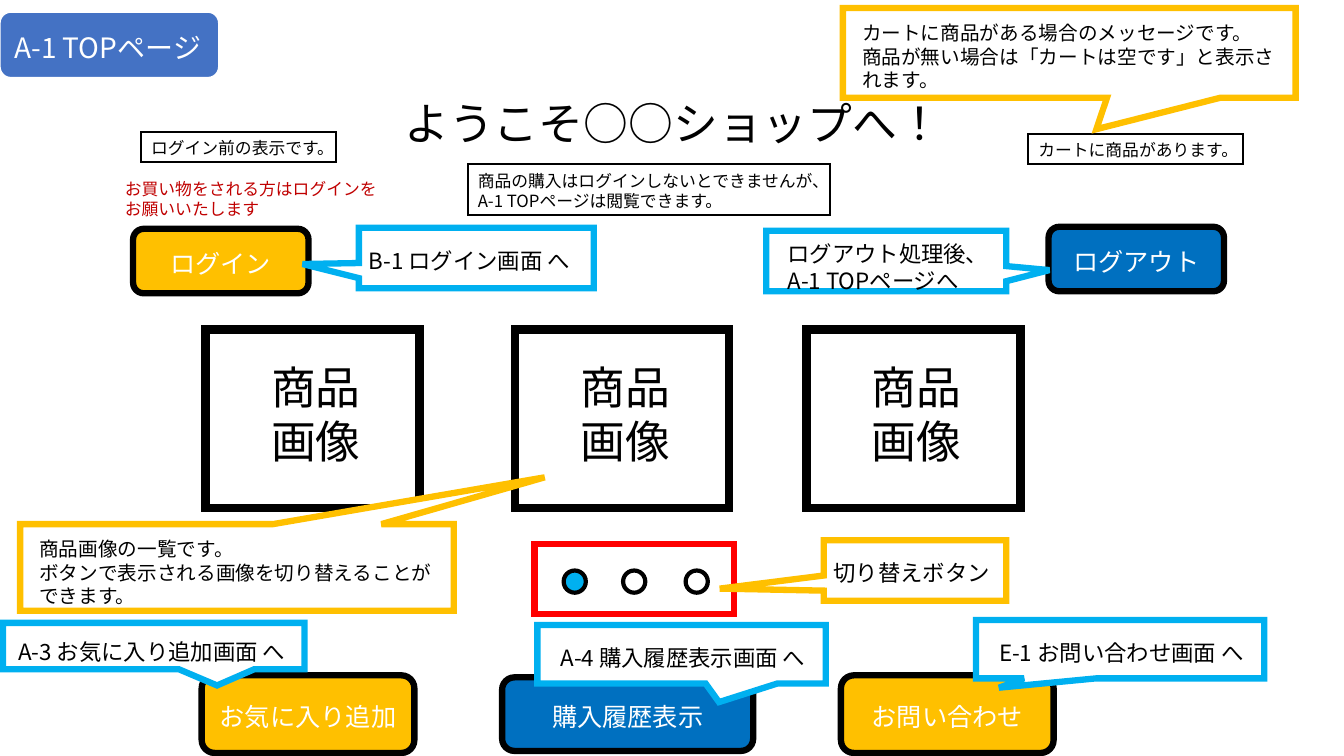
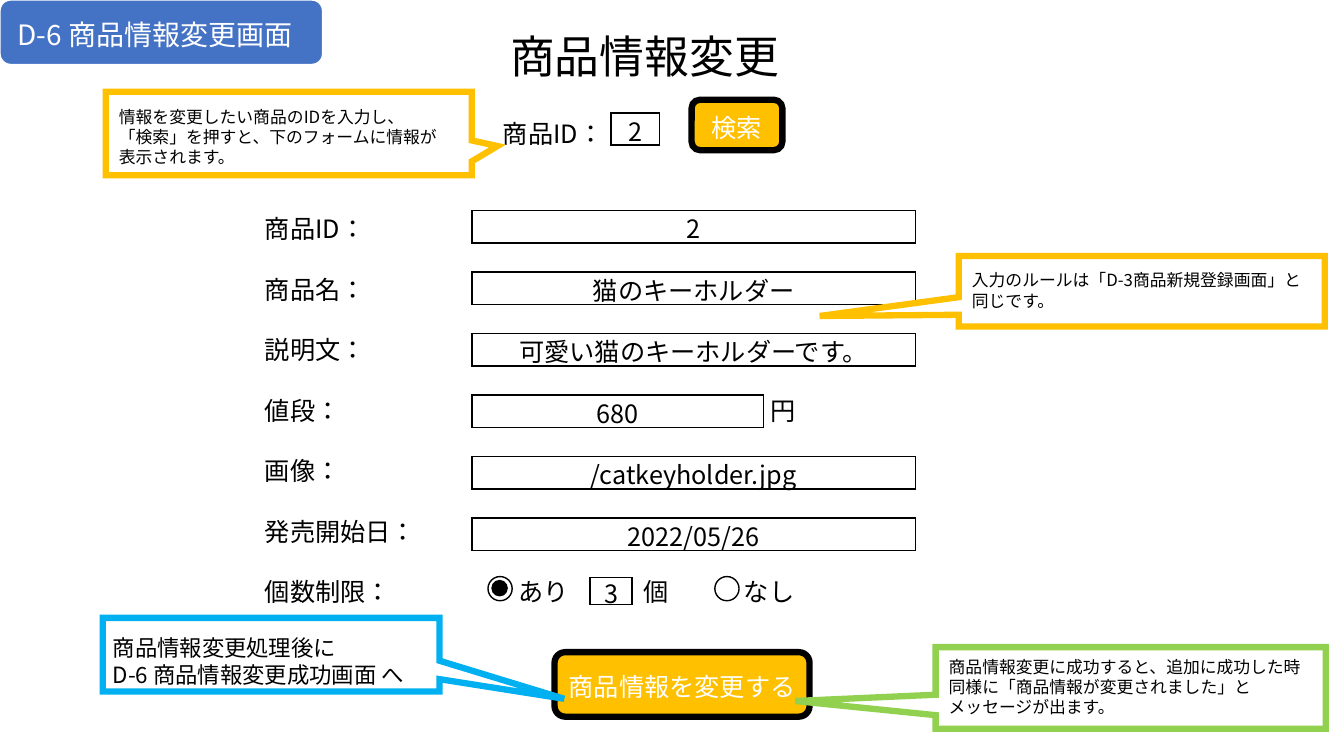
"""Build two wireframe slides of a shop site: the top page and the product editing page."""
from dataclasses import dataclass

import pptx
import pptx.dml.color
import pptx.enum.lang
import pptx.enum.shapes
import pptx.enum.text
import pptx.oxml.ns
import pptx.shapes.autoshape
import pptx.shapes.base
import pptx.slide
import pptx.util
from lxml import etree

RGBColor = pptx.dml.color.RGBColor
Shape = pptx.enum.shapes.MSO_SHAPE
Align = pptx.enum.text.PP_ALIGN
Anchor = pptx.enum.text.MSO_ANCHOR
qn = pptx.oxml.ns.qn

EMU_PER_PX = 9144
FONT = "Noto Sans CJK JP"
LINE_HEIGHT = 1.2
BLACK = RGBColor(0x00, 0x00, 0x00)
WHITE = RGBColor(0xFF, 0xFF, 0xFF)
BADGE_BLUE = RGBColor(0x44, 0x72, 0xC4)
GOLD = RGBColor(0xFF, 0xC0, 0x00)
BLUE = RGBColor(0x00, 0x70, 0xC0)
SKY = RGBColor(0x00, 0xB0, 0xF0)
GREEN = RGBColor(0x92, 0xD0, 0x50)
RED = RGBColor(0xFF, 0x00, 0x00)
DARK_RED = RGBColor(0xC0, 0x00, 0x00)


@dataclass(frozen=True)
class Area:
    left: int
    top: int
    width: int
    height: int

    def emu(self) -> tuple[int, int, int, int]:
        return px(self.left), px(self.top), px(self.width), px(self.height)


@dataclass(frozen=True)
class Button:
    text: str
    area: Area
    fill: RGBColor = GOLD


@dataclass(frozen=True)
class Callout:
    text: str
    area: Area
    tip: tuple[float, float]
    color: RGBColor
    size: int
    inset: tuple[int, int]


@dataclass(frozen=True)
class Field:
    label: str
    value: str = ""
    width: int = 440


TOP_BUTTONS = [
    Button("ログイン", Area(132, 227, 174, 64)),
    Button("ログアウト", Area(1040, 225, 174, 64), BLUE),
    Button("お気に入り追加", Area(200, 670, 211, 77)),
    Button("購入履歴表示", Area(498, 672, 249, 73), BLUE),
    Button("お問い合わせ", Area(834, 670, 211, 77)),
]
TOP_CALLOUTS = [
    Callout("商品画像の一覧です。\nボタンで表示される画像を切り替えることができます。",
            Area(20, 520, 430, 86), (0.71, -1.04), GOLD, 14, (19, 12)),
    Callout("切り替えボタン", Area(817, 536, 181, 60), (-1.07, 0.3), GOLD, 16, (10, 17)),
    Callout("B-1 ログイン画面 へ", Area(356, 226, 233, 60), (-0.74, 0.1), SKY, 16, (10, 17)),
    Callout("ログアウト処理後、\nA-1 TOPページへ",
            Area(760, 229, 238, 60), (0.68, 0.15), SKY, 16, (21, 7)),
    Callout("A-3 お気に入り追加画面 へ",
            Area(3, 618, 299, 46), (0.21, 0.85), SKY, 16, (15, 13)),
    Callout("A-4 購入履歴表示画面 へ",
            Area(533, 620, 286, 58), (0.13, 0.82), SKY, 16, (23, 17)),
    Callout("カートに商品がある場合のメッセージです。\n"
            "商品が無い場合は「カートは空です」と表示されます。",
            Area(836, 8, 449, 89), (0.06, 0.85), GOLD, 14, (19, 12)),
    Callout("E-1 お問い合わせ画面 へ",
            Area(968, 615, 286, 58), (-0.42, 0.66), SKY, 16, (23, 17)),
]
MESSAGES = [
    ("商品の購入はログインしないとできませんが、\nA-1 TOPページは閲覧できます。",
     Area(464, 163, 359, 50)),
    ("ログイン前の表示です。", Area(140, 131, 193, 30)),
    ("カートに商品があります。", Area(1020, 133, 213, 30)),
]
FIELDS = [
    Field("商品ID：", "2"),
    Field("商品名：", "猫のキーホルダー"),
    Field("説明文：", "可愛い猫のキーホルダーです。"),
    Field("値段：", "680", 289),
    Field("画像：", "/catkeyholder.jpg"),
    Field("発売開始日：", "2022/05/26"),
    Field("個数制限："),
]
UNITS = [("円", 754, 3), ("あり", 504, 6), ("個", 628, 6), ("なし", 728, 6)]
EDIT_BUTTONS = [
    Button("商品情報を変更する", Area(550, 647, 253, 64)),
    Button("検索", Area(686, 99, 90, 50)),
]
EDIT_CALLOUTS = [
    Callout("商品情報変更処理後に\nD-6 商品情報変更成功画面 へ",
            Area(102, 613, 334, 73), (0.87, 0.6), SKY, 16, (10, 14)),
    Callout("入力のルールは「D-3商品新規登録画面」と\n同じです。",
            Area(951, 254, 363, 70), (-0.88, 0.35), GOLD, 12, (13, 13)),
    Callout("商品情報変更に成功すると、追加に成功した時同様に「商品情報が変更されました」と\n"
            "メッセージが出ます。",
            Area(928, 642, 387, 81), (-0.86, 0.16), GREEN, 12, (13, 8)),
    Callout("情報を変更したい商品のIDを入力し、\n"
            "「検索」を押すと、下のフォームに情報が\n表示されます。",
            Area(105, 91, 363, 83), (0.57, 0.15), GOLD, 12, (13, 14)),
]


def px(length: int) -> int:
    return pptx.util.Emu(length * EMU_PER_PX)


def write(box: pptx.shapes.base.BaseShape, text: str, *, size: int, color: RGBColor = BLACK,
          align: Align = Align.LEFT, middle: bool = False,
          inset: tuple[int, int] = (10, 5), gap: float = 0) -> None:
    frame = box.text_frame
    frame.word_wrap = True
    frame.auto_size = pptx.enum.text.MSO_AUTO_SIZE.NONE
    frame.vertical_anchor = Anchor.MIDDLE if middle else Anchor.TOP
    frame.margin_left = px(inset[0])
    frame.margin_right = px(0 if middle else 10)
    frame.margin_top = px(4 if middle else inset[1] + size // 8)
    frame.margin_bottom = 0
    if align == Align.CENTER:
        frame.margin_left = frame.margin_right = 0
    for index, line in enumerate(text.split("\n")):
        para = frame.add_paragraph() if index else frame.paragraphs[0]
        para.alignment = align
        para.line_spacing = pptx.util.Pt(size * LINE_HEIGHT)
        para.space_before = pptx.util.Pt(gap if index else 0)
        span = para.add_run()
        span.text = line
        span.font.size = pptx.util.Pt(size)
        span.font.color.rgb = color
        span.font.language_id = pptx.enum.lang.MSO_LANGUAGE_ID.JAPANESE
        span.font.name = FONT
        etree.SubElement(span._r.get_or_add_rPr(), qn("a:ea"), typeface=FONT)


def add_box(page: pptx.slide.Slide, kind: Shape, area: Area, *, fill: RGBColor | None = WHITE,
            line: RGBColor = BLACK, weight: float = 1) -> pptx.shapes.autoshape.Shape:
    box = page.shapes.add_shape(kind, *area.emu())
    box.shadow.inherit = False
    if fill is None:
        box.fill.background()
    else:
        box.fill.solid()
        box.fill.fore_color.rgb = fill
    box.line.color.rgb = line
    box.line.width = pptx.util.Pt(weight)
    etree.SubElement(box.line._get_or_add_ln(), qn("a:miter"), lim="800000")
    return box


def add_label(page: pptx.slide.Slide, text: str, area: Area, *, size: int,
              color: RGBColor = BLACK, gap: float = 0) -> None:
    write(page.shapes.add_textbox(*area.emu()), text, size=size, color=color, gap=gap)


def add_page(deck: pptx.presentation.Presentation, title: str, title_area: Area,
             badge: str, badge_area: Area, badge_inset: int) -> pptx.slide.Slide:
    page = deck.slides.add_slide(deck.slide_layouts[5])
    heading = page.shapes.title
    heading.left, heading.top, heading.width, heading.height = title_area.emu()
    write(heading, title, size=32)
    box = add_box(page, Shape.ROUNDED_RECTANGLE, badge_area, fill=BADGE_BLUE, line=WHITE)
    write(box, badge, size=20, color=WHITE, middle=True, inset=(badge_inset, 0))
    return page


def add_button(page: pptx.slide.Slide, button: Button) -> None:
    box = add_box(page, Shape.FLOWCHART_ALTERNATE_PROCESS, button.area,
                  fill=button.fill, weight=4.5)
    write(box, button.text, size=18, color=WHITE, align=Align.CENTER, middle=True)


def add_callout(page: pptx.slide.Slide, callout: Callout) -> None:
    box = add_box(page, Shape.RECTANGULAR_CALLOUT, callout.area,
                  line=callout.color, weight=4.5)
    box.adjustments[0], box.adjustments[1] = callout.tip
    write(box, callout.text, size=callout.size, inset=callout.inset)


def add_input(page: pptx.slide.Slide, value: str, area: Area) -> None:
    box = add_box(page, Shape.RECTANGLE, area)
    write(box, value, size=18, align=Align.CENTER, middle=True)


def add_controls(page: pptx.slide.Slide, buttons: list[Button], callouts: list[Callout]) -> None:
    for button in buttons:
        add_button(page, button)
    for callout in callouts:
        add_callout(page, callout)


def build_top_page(deck: pptx.presentation.Presentation) -> None:
    page = add_page(deck, "ようこそ○○ショップへ！", Area(391, 86, 587, 64),
                    "A-1 TOPページ", Area(0, 12, 217, 65), 11)
    for left in (204, 511, 800):
        add_box(page, Shape.RECTANGLE, Area(left, 327, 212, 177), weight=6)
        add_label(page, "商品\n画像", Area(left + 55, 348, 127, 120), size=32)
    add_label(page, "お買い物をされる方はログインを\nお願いいたします",
              Area(114, 171, 299, 50), size=12, color=DARK_RED)
    for text, area in MESSAGES:
        write(add_box(page, Shape.RECTANGLE, area, fill=None, weight=1.5), text, size=12)
    for left, fill in ((559, SKY), (618, WHITE), (680, WHITE)):
        add_box(page, Shape.OVAL, Area(left, 566, 22, 22), fill=fill, weight=3)
    add_box(page, Shape.RECTANGLE, Area(530, 540, 198, 69), fill=None, line=RED, weight=4.5)
    add_controls(page, TOP_BUTTONS, TOP_CALLOUTS)


def build_edit_page(deck: pptx.presentation.Presentation) -> None:
    page = add_page(deck, "商品情報変更", Area(496, 19, 342, 64),
                    "D-6 商品情報変更画面", Area(0, 0, 320, 64), 14)
    row_top, row_pitch, text_size = 205, 60, 18
    add_label(page, "\n".join(field.label for field in FIELDS), Area(253, row_top, 200, 404),
              size=text_size, gap=text_size * LINE_HEIGHT)
    for row, field in enumerate(FIELDS):
        if field.value:
            add_input(page, field.value, Area(468, 209 + 61 * row, field.width, 32))
    for text, left, row in UNITS:
        add_label(page, text, Area(left, row_top + row_pitch * row, 80, 40), size=text_size)
    add_input(page, "3", Area(585, 573, 42, 27))
    for left in (484, 709):
        add_box(page, Shape.OVAL, Area(left, 572, 24, 24))
    add_box(page, Shape.OVAL, Area(488, 576, 15, 15), fill=BLACK)
    add_label(page, "商品ID：", Area(489, 110, 140, 40), size=text_size)
    add_input(page, "2", Area(606, 112, 48, 32))
    add_controls(page, EDIT_BUTTONS, EDIT_CALLOUTS)


def main() -> None:
    deck = pptx.Presentation()
    deck.slide_width, deck.slide_height = px(1333), px(750)
    build_top_page(deck)
    build_edit_page(deck)
    deck.save("out.pptx")


if __name__ == "__main__":
    main()
